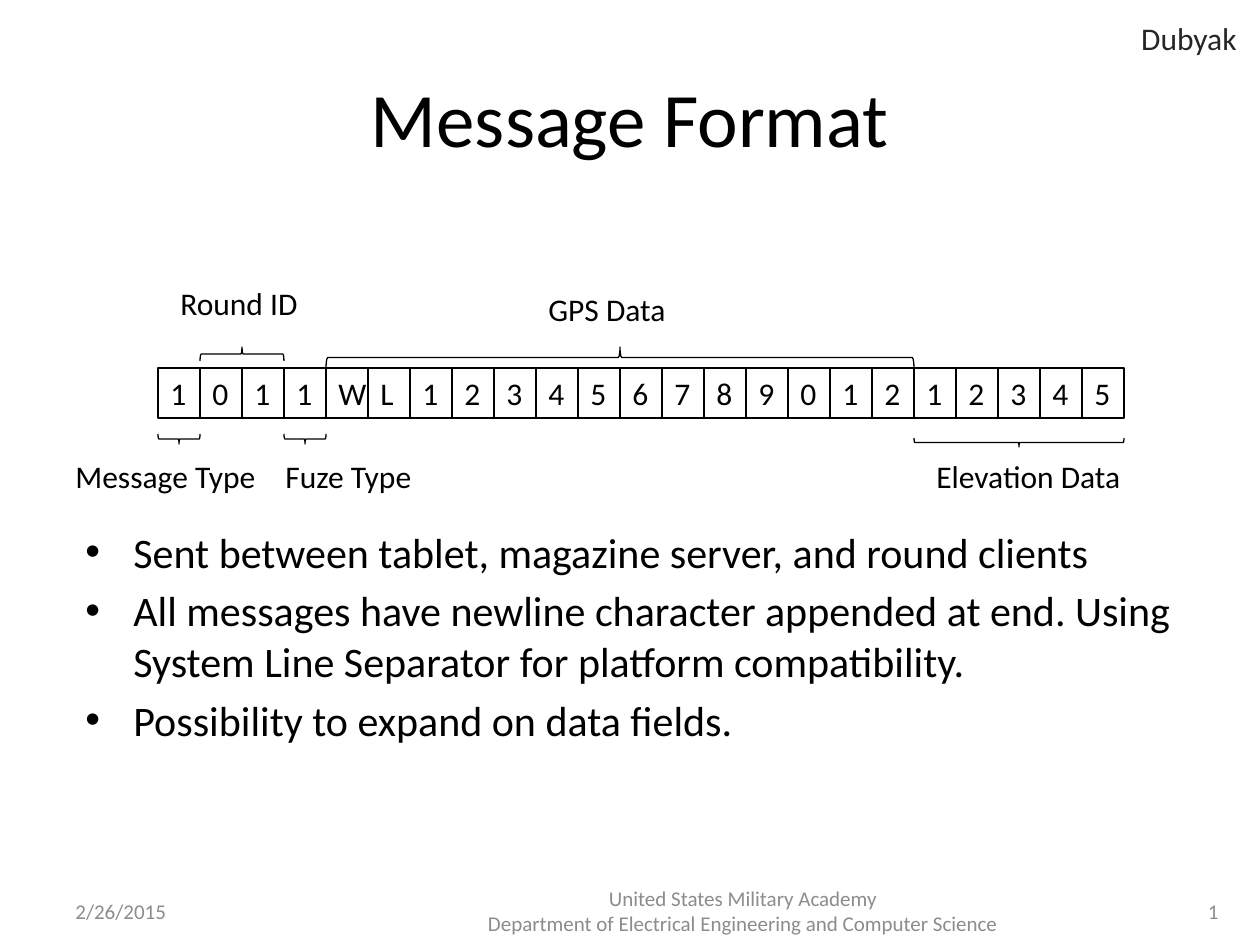
from dataclasses import dataclass

from lxml import etree
from pptx import Presentation
from pptx.dml.color import RGBColor
from pptx.enum.shapes import MSO_SHAPE
from pptx.enum.text import MSO_ANCHOR, PP_ALIGN
from pptx.oxml.ns import qn
from pptx.util import Emu, Pt

BLACK = RGBColor(0x00, 0x00, 0x00)
CHARCOAL = RGBColor(0x26, 0x26, 0x26)
GRAY = RGBColor(0x8C, 0x8C, 0x8C)
FONT = "Calibri"
EMU_PER_PX = 914400 / 126

ROW_LEFT, ROW_TOP, CELL_WIDTH, CELL_HEIGHT = 158, 368, 42, 50
MESSAGE = "1011WL12345678901212345"


def px(value: float) -> Emu:
    return Emu(round(value * EMU_PER_PX))


@dataclass
class TextBlock:
    lines: list[str]
    left: int
    top: int
    width: int
    height: int
    size: int = 18
    color: RGBColor = BLACK
    align: PP_ALIGN = PP_ALIGN.LEFT
    anchor: MSO_ANCHOR = MSO_ANCHOR.TOP
    wrap: bool = True
    bullets: bool = False


@dataclass
class Brace:
    first_cell: int
    cell_count: int
    top: int
    depth: int
    rotation: int


BLOCKS = [
    TextBlock(["Message Format"], 63, 38, 1134, 158, 44,
              align=PP_ALIGN.CENTER, anchor=MSO_ANCHOR.MIDDLE),
    TextBlock(["Sent between tablet, magazine server, and round clients",
               "All messages have newline character appended at end. "
               "Using System Line Separator for platform compatibility.",
               "Possibility to expand on data fields."],
              73, 520, 1134, 301, 24, bullets=True),
    TextBlock(["Message Type"], 63, 451, 208, 50, wrap=False),
    TextBlock(["Round ID"], 168, 278, 144, 50, wrap=False),
    TextBlock(["GPS Data"], 536, 284, 144, 50, wrap=False),
    TextBlock(["Fuze Type"], 273, 451, 152, 50, wrap=False),
    TextBlock(["Elevation Data"], 924, 451, 212, 50, wrap=False),
    TextBlock(["Dubyak"], 955, 13, 294, 50, color=CHARCOAL, align=PP_ALIGN.RIGHT),
    TextBlock(["2/26/2015"], 63, 892, 294, 38, 12, GRAY, anchor=MSO_ANCHOR.MIDDLE),
    TextBlock(["United States Military Academy",
               "Department of Electrical Engineering and Computer Science"],
              364, 892, 758, 38, 12, GRAY, PP_ALIGN.CENTER, MSO_ANCHOR.MIDDLE),
    TextBlock(["1"], 1130, 892, 101, 38, 12, GRAY, PP_ALIGN.RIGHT, MSO_ANCHOR.MIDDLE),
]

BRACES = [
    Brace(0, 1, 434, 10, 90),
    Brace(1, 2, 347, 14, 270),
    Brace(3, 1, 434, 10, 90),
    Brace(4, 14, 347, 21, 270),
    Brace(18, 5, 438, 9, 90),
]


def add_bullet(paragraph) -> None:
    properties = paragraph._p.get_or_add_pPr()
    properties.set("marL", str(px(48)))
    properties.set("indent", str(px(-48)))
    etree.SubElement(properties, qn("a:buFont")).set("typeface", "Arial")
    etree.SubElement(properties, qn("a:buChar")).set("char", "•")


def write_text(shape, block: TextBlock) -> None:
    frame = shape.text_frame
    frame.word_wrap = block.wrap
    frame.vertical_anchor = block.anchor
    for index, line in enumerate(block.lines):
        paragraph = frame.add_paragraph() if index else frame.paragraphs[0]
        paragraph.alignment = block.align
        run = paragraph.add_run()
        run.text = line
        run.font.name = FONT
        run.font.size = Pt(block.size)
        run.font.color.rgb = block.color
        if block.bullets:
            paragraph.space_before = Pt(4.8)
            add_bullet(paragraph)


def add_text(slide, block: TextBlock) -> None:
    box = slide.shapes.add_textbox(
        px(block.left), px(block.top), px(block.width), px(block.height))
    write_text(box, block)


def add_outline(slide, kind: MSO_SHAPE, left: float, top: float,
                width: float, height: float):
    shape = slide.shapes.add_shape(kind, px(left), px(top), px(width), px(height))
    shape.shadow.inherit = False
    shape.fill.background()
    shape.line.color.rgb = BLACK
    shape.line.width = Pt(0.75)
    return shape


def add_cell(slide, index: int, symbol: str) -> None:
    align = PP_ALIGN.CENTER if symbol == "W" else PP_ALIGN.LEFT
    block = TextBlock([symbol], ROW_LEFT + index * CELL_WIDTH, ROW_TOP,
                      CELL_WIDTH, CELL_HEIGHT, align=align)
    cell = add_outline(slide, MSO_SHAPE.RECTANGLE, block.left, block.top,
                       block.width, block.height)
    write_text(cell, block)


def add_brace(slide, brace: Brace) -> None:
    span = brace.cell_count * CELL_WIDTH
    center_x = ROW_LEFT + brace.first_cell * CELL_WIDTH + span / 2
    center_y = brace.top + brace.depth / 2
    shape = add_outline(slide, MSO_SHAPE.RIGHT_BRACE, center_x - brace.depth / 2,
                        center_y - span / 2, brace.depth, span)
    shape.rotation = brace.rotation


def main() -> None:
    presentation = Presentation()
    presentation.slide_width = px(1260)
    presentation.slide_height = px(945)
    slide = presentation.slides.add_slide(presentation.slide_layouts[6])
    for index, symbol in enumerate(MESSAGE):
        add_cell(slide, index, symbol)
    for brace in BRACES:
        add_brace(slide, brace)
    for block in BLOCKS:
        add_text(slide, block)
    presentation.save("out.pptx")


main()
